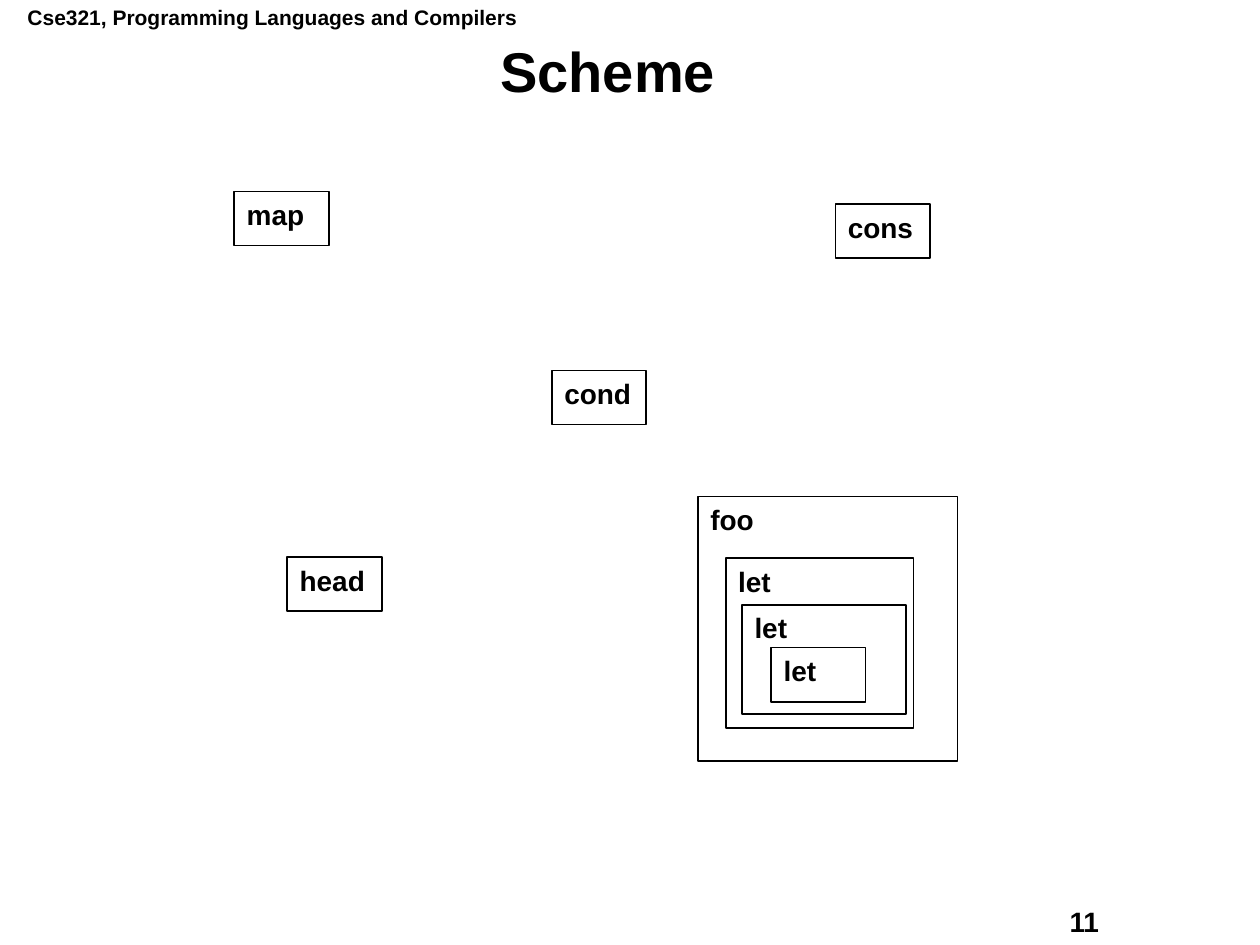
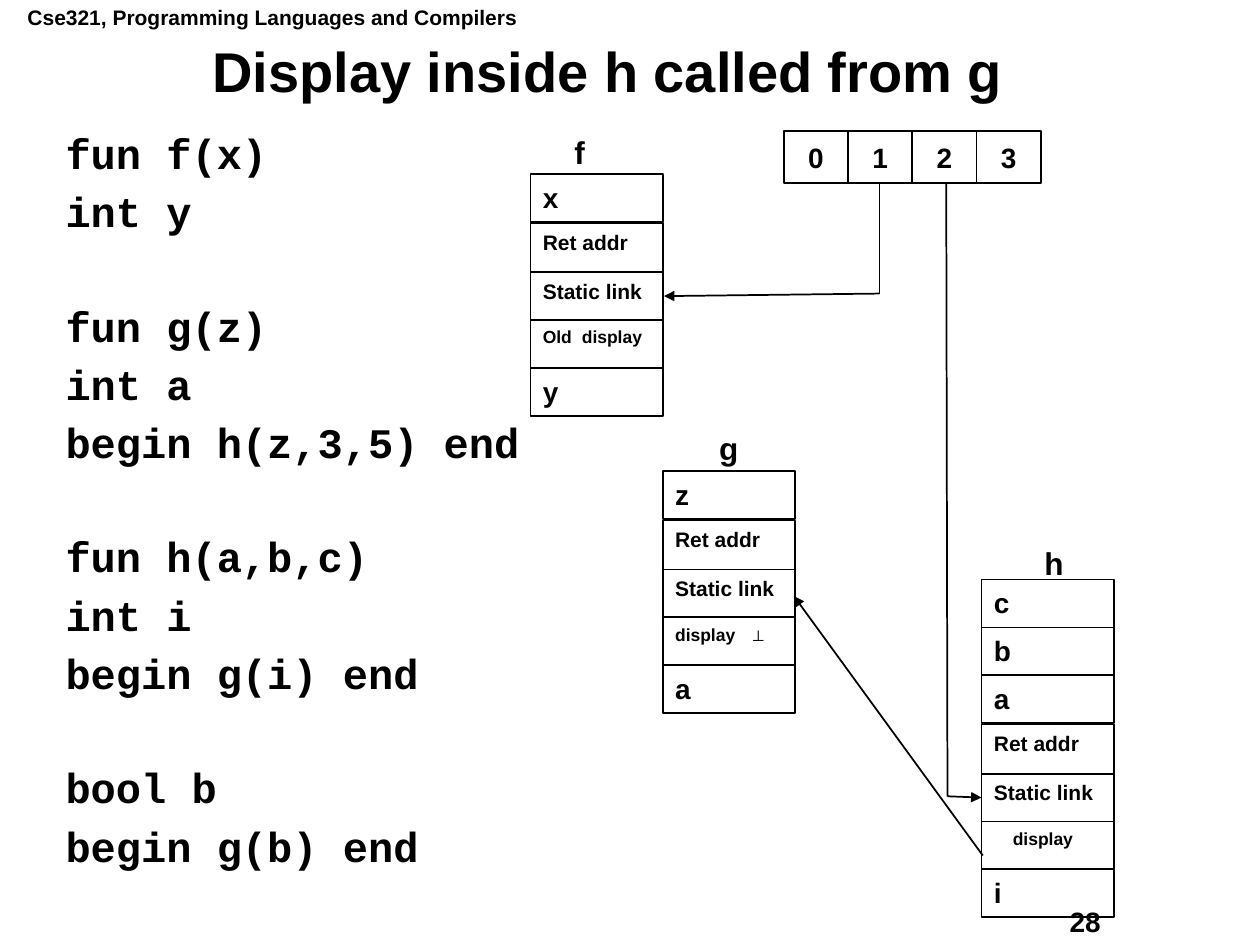
from pptx import Presentation
from pptx.dml.color import RGBColor
from pptx.enum.shapes import MSO_CONNECTOR, MSO_SHAPE
from pptx.enum.text import MSO_ANCHOR, MSO_AUTO_SIZE, PP_ALIGN
from pptx.oxml.ns import qn
from pptx.util import Inches, Pt
from lxml import etree

RECTANGLE = MSO_SHAPE.RECTANGLE
STRAIGHT = MSO_CONNECTOR.STRAIGHT
TOP, MIDDLE = MSO_ANCHOR.TOP, MSO_ANCHOR.MIDDLE
LEFT, CENTER = PP_ALIGN.LEFT, PP_ALIGN.CENTER
NO_AUTOFIT = MSO_AUTO_SIZE.NONE

BLACK, WHITE = "000000", "FFFFFF"
SANS, MONO = "Arial", "Courier New"
COURSE = "Cse321, Programming Languages and Compilers"
TITLE_ONLY, TITLE_AND_BODY = 5, 1

CELL_WIDTH, CELL_HEIGHT = 1.05, 0.38
RETURN_GAP = 0.01
RETURN, STATIC = "Ret addr", "Static link"

NAMES = [
    ("map", 1.86, 1.52, 0.75, 0.43),
    ("foo", 5.54, 3.94, 2.06, 2.1),
    ("cond", 4.38, 2.94, 0.75, 0.43),
    ("head", 2.28, 4.42, 0.75, 0.43),
    ("cons", 6.63, 1.62, 0.75, 0.43),
    ("let", 5.76, 4.43, 1.49, 1.35),
    ("let", 5.89, 4.8, 1.3, 0.87),
    ("let", 6.12, 5.14, 0.75, 0.43),
]

CODE_BLOCKS = [
    ["fun f(x)", "int y"],
    ["fun g(z)", "int a", "begin h(z,3,5) end"],
    ["fun h(a,b,c)", "int i", "begin g(i) end"],
    ["bool b", "begin g(b) end"],
]
CODE_GAP, BLOCK_GAP = 10.25, 42.25


def color(value):
    return RGBColor.from_string(value)


def box_of(left, top, width, height):
    return [Inches(value) for value in (left, top, width, height)]


def place(shape, left, top, width, height):
    shape.left, shape.top, shape.width, shape.height = box_of(left, top, width, height)


def add_run(paragraph, text, size, font=SANS):
    run = paragraph.add_run()
    run.text = text
    run.font.name = font
    run.font.size = Pt(size)
    run.font.bold = True
    run.font.color.rgb = color(BLACK)


def set_text(shape, text, size, align=LEFT, anchor=TOP):
    frame = shape.text_frame
    frame.word_wrap = True
    frame.auto_size = NO_AUTOFIT
    frame.vertical_anchor = anchor
    paragraph = frame.paragraphs[0]
    paragraph.alignment = align
    add_run(paragraph, text, size)
    return paragraph


def add_label(shapes, text, box, size):
    set_text(shapes.add_textbox(*box_of(*box)), text, size)


def add_box(shapes, text, box, size=16, fill=None, align=LEFT, anchor=TOP):
    shape = shapes.add_shape(RECTANGLE, *box_of(*box))
    shape.shadow.inherit = False
    if fill:
        shape.fill.solid()
        shape.fill.fore_color.rgb = color(fill)
    else:
        shape.fill.background()
    shape.line.color.rgb = color(BLACK)
    shape.line.width = Pt(1)
    return set_text(shape, text, size, align, anchor)


def add_line(slide, start, end, arrow=False):
    points = [Inches(value) for value in (*start, *end)]
    connector = slide.shapes.add_connector(STRAIGHT, *points)
    connector.line.color.rgb = color(BLACK)
    connector.line.width = Pt(1)
    if arrow:
        outline = connector.line._get_or_add_ln()
        etree.SubElement(outline, qn("a:tailEnd"), type="triangle")
    etree.SubElement(connector._element.spPr, qn("a:effectLst"))


def set_tab(paragraph, position):
    tabs = etree.SubElement(paragraph._p.get_or_add_pPr(), qn("a:tabLst"))
    etree.SubElement(tabs, qn("a:tab"), pos=str(Inches(position)), algn="l")


def set_indent(paragraph, margin, first_line=0):
    properties = paragraph._p.get_or_add_pPr()
    properties.set("marL", str(Inches(margin)))
    properties.set("indent", str(Inches(first_line)))


def add_slide(presentation, layout, title, number):
    slide = presentation.slides.add_slide(presentation.slide_layouts[layout])
    add_label(slide.shapes, COURSE, (0.12, -0.01, 4.2, 0.3), 12)
    add_label(slide.shapes, number, (8.39, 7.13, 1.27, 0.36), 16)
    place(slide.shapes.title, 0.31, 0.31, 9.03, 0.56)
    paragraph = set_text(slide.shapes.title, title, 32, CENTER, MIDDLE)
    paragraph.line_spacing = 0.9
    return slide


def fill_code(body):
    place(body, 0.42, 1.04, 3.92, 5.96)
    frame = body.text_frame
    frame.word_wrap = True
    frame.auto_size = NO_AUTOFIT
    frame.vertical_anchor = TOP
    paragraph = frame.paragraphs[0]
    for block_index, block in enumerate(CODE_BLOCKS):
        for line_index, line in enumerate(block):
            space = CODE_GAP if line_index else BLOCK_GAP
            if block_index == line_index == 0:
                space = 0
            else:
                paragraph = frame.add_paragraph()
            set_indent(paragraph, 0.31, -0.31)
            etree.SubElement(paragraph._p.get_or_add_pPr(), qn("a:buNone"))
            paragraph.line_spacing = 0.8
            paragraph.space_before = Pt(space)
            add_run(paragraph, line, 24, MONO)


def add_frame(slide, name, name_at, left, top, cells, tab=None, indent=None):
    shapes = slide.shapes.add_group_shape().shapes
    add_label(shapes, name, (*name_at, 0.36, 0.4), 18)
    for text in cells:
        height, size = CELL_HEIGHT, 16
        if text == RETURN:
            top += RETURN_GAP
            height += RETURN_GAP
        if text in (RETURN, STATIC):
            size = 12
        elif "display" in text:
            size = 10
        paragraph = add_box(shapes, text, (left, top, CELL_WIDTH, height), size)
        if size == 10 and tab:
            set_tab(paragraph, tab)
        if size == 10 and indent:
            set_indent(paragraph, indent)
        top += height


def build_scheme(presentation):
    slide = add_slide(presentation, TITLE_ONLY, "Scheme", "11")
    for name, *box in NAMES:
        add_box(slide.shapes, name, box)


def build_display(presentation):
    slide = add_slide(presentation, TITLE_AND_BODY, "Display inside h called from g", "28")
    fill_code(slide.placeholders[1])
    for level in range(4):
        add_box(slide.shapes, str(level), (6.22 + 0.51 * level, 1.04, 0.51, 0.41),
                fill=WHITE, align=CENTER, anchor=MIDDLE)
    add_frame(slide, "f", (4.46, 1.01), 4.21, 1.38,
              ["x", RETURN, STATIC, "Old\tdisplay", "y"], tab=0.31)
    add_frame(slide, "g", (5.61, 3.36), 5.26, 3.74,
              ["z", RETURN, STATIC, "display\t⊥", "a"], tab=0.59)
    add_frame(slide, "h", (8.19, 4.27), 7.79, 4.6,
              ["c", "b", "a", RETURN, STATIC, "display", "i"], indent=0.15)
    add_line(slide, (6.98, 1.45), (6.98, 2.33))
    add_line(slide, (6.98, 2.33), (5.27, 2.35), arrow=True)
    add_line(slide, (7.51, 1.46), (7.52, 6.32))
    add_line(slide, (7.52, 6.32), (7.79, 6.33), arrow=True)
    add_line(slide, (7.8, 6.79), (6.3, 4.73), arrow=True)


def main():
    presentation = Presentation()
    presentation.slide_width = Inches(10)
    presentation.slide_height = Inches(7.5)
    build_scheme(presentation)
    build_display(presentation)
    presentation.save("out.pptx")


if __name__ == "__main__":
    main()
